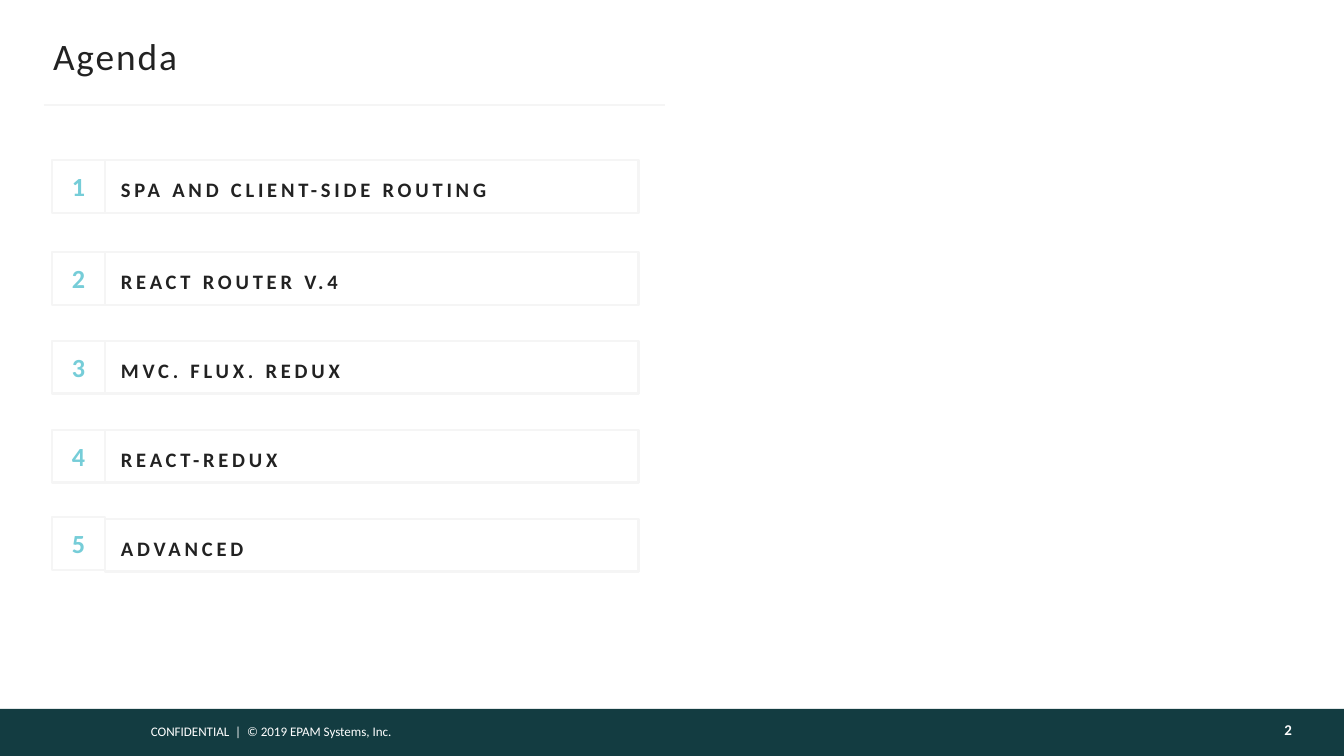
import pptx
import pptx.util
import pptx.dml.color
import pptx.enum.shapes
import pptx.enum.text
import pptx.oxml

PX = 914400 / 134.4
SLIDE_WIDTH, SLIDE_HEIGHT = 1344, 756
FONT = "Calibri"
WHITE = pptx.dml.color.RGBColor(0xFF, 0xFF, 0xFF)
NEAR_WHITE = pptx.dml.color.RGBColor(0xFE, 0xFE, 0xFE)
DARK_TEAL = pptx.dml.color.RGBColor(0x13, 0x3C, 0x41)
AQUA = pptx.dml.color.RGBColor(0x76, 0xCD, 0xD8)
PALE_GRAY = pptx.dml.color.RGBColor(0xF5, 0xF5, 0xF5)
INK = pptx.dml.color.RGBColor(0x22, 0x22, 0x22)
ALIGN = pptx.enum.text.PP_ALIGN
ANCHOR = pptx.enum.text.MSO_ANCHOR
RECTANGLE = pptx.enum.shapes.MSO_SHAPE.RECTANGLE

TOPICS = [
    "SPA AND CLIENT-SIDE ROUTING",
    "REACT ROUTER V.4",
    "MVC. FLUX. REDUX",
    "REACT-REDUX",
    "ADVANCED",
]
TOPIC_TOPS = [160, 252, 341, 430, 519]
NUMBER_TOPS = TOPIC_TOPS[:-1] + [517]


def px(length):
    """Turn a length in px into EMU."""
    return pptx.util.Emu(round(length * PX))


def write(frame, text, size, color, bold=False, align=ALIGN.LEFT, spacing=0,
          anchor=ANCHOR.MIDDLE, insets=(0, 0, 0, 0), leading=None, after=0, wrap=True):
    """Fill a text frame with one formatted paragraph."""
    frame.auto_size = pptx.enum.text.MSO_AUTO_SIZE.NONE
    frame.word_wrap = wrap
    frame.vertical_anchor = anchor
    frame.margin_left, frame.margin_top, frame.margin_right, frame.margin_bottom = map(px, insets)
    paragraph = frame.paragraphs[0]
    paragraph.alignment = align
    paragraph.space_before = pptx.util.Pt(0)
    paragraph.space_after = pptx.util.Pt(after)
    if leading:
        paragraph.line_spacing = pptx.util.Pt(leading)
    run = paragraph.add_run()
    run.text = text
    run.font.name = FONT
    run.font.size = pptx.util.Pt(size)
    run.font.bold = bold
    run.font.color.rgb = color
    if spacing:
        run.font._element.set("spc", str(spacing * 100))


def add_box(slide, left, top, width, height):
    """Add an unfilled rectangle with a pale outline."""
    box = slide.shapes.add_shape(RECTANGLE, px(left), px(top), px(width), px(height))
    box.shadow.inherit = False
    box.fill.background()
    box.line.color.rgb = PALE_GRAY
    box.line.width = pptx.util.Pt(1.5)
    return box


def add_header(slide, left, top, width, height):
    """Place the title and the rule under it."""
    title = slide.shapes.title
    title.left, title.top, title.width, title.height = map(px, (left, top, width, height))
    write(title.text_frame, "Agenda", size=20, color=INK, spacing=1, insets=(0, 7, 0, 7))
    rule_left, rule_top = left - 9, top + 71
    rule = slide.shapes.add_connector(
        pptx.enum.shapes.MSO_CONNECTOR.STRAIGHT,
        px(rule_left), px(rule_top), px(rule_left + 621), px(rule_top))
    rule.line.color.rgb = PALE_GRAY
    rule.line.width = pptx.util.Pt(1.5)
    rule._element.spPr.append(pptx.oxml.parse_xml(
        '<a:effectLst xmlns:a="http://schemas.openxmlformats.org/drawingml/2006/main"/>'))


def add_agenda(slide, left, width, row_height):
    """Place the numbered topics, one row each."""
    rows = zip(TOPICS, TOPIC_TOPS, NUMBER_TOPS)
    for number, (topic, topic_top, number_top) in enumerate(rows, start=1):
        number_box = add_box(slide, left, number_top, row_height, row_height)
        write(number_box.text_frame, str(number), size=14, color=AQUA, bold=True,
              align=ALIGN.CENTER, leading=16, after=3)
        topic_box = add_box(slide, left + row_height, topic_top, width - row_height, row_height)
        write(topic_box.text_frame, topic, size=11, color=INK, bold=True, spacing=2,
              insets=(16, 0, 0, 0), leading=16, after=3)


def add_footer(slide, left, top, width, height):
    """Place the bottom band with the copyright line and the page number."""
    band = slide.shapes.add_shape(RECTANGLE, px(left), px(top), px(width), px(height))
    band.shadow.inherit = False
    band.fill.solid()
    band.fill.fore_color.rgb = DARK_TEAL
    band.line.fill.background()
    copyright_line = slide.shapes.add_textbox(px(left + 138), px(top + 7), px(356), px(30))
    write(copyright_line.text_frame, "CONFIDENTIAL  |  © 2019 EPAM Systems, Inc.",
          size=7, color=WHITE, anchor=ANCHOR.TOP, insets=(13, 7, 13, 7))
    page_number = slide.shapes.add_textbox(
        px(left + width - 254), px(top), px(202), px(height))
    write(page_number.text_frame, "2", size=8, color=NEAR_WHITE, bold=True,
          align=ALIGN.RIGHT, insets=(13, 7, 0, 12))


def main():
    """Build the agenda slide and save it."""
    deck = pptx.Presentation()
    deck.slide_width, deck.slide_height = px(SLIDE_WIDTH), px(SLIDE_HEIGHT)
    slide = deck.slides.add_slide(deck.slide_layouts[5])
    slide.background.fill.solid()
    slide.background.fill.fore_color.rgb = WHITE
    add_footer(slide, left=0, top=709, width=SLIDE_WIDTH, height=47)
    add_header(slide, left=53, top=34, width=1239, height=44)
    add_agenda(slide, left=52, width=587, row_height=53)
    deck.save("out.pptx")


if __name__ == "__main__":
    main()
